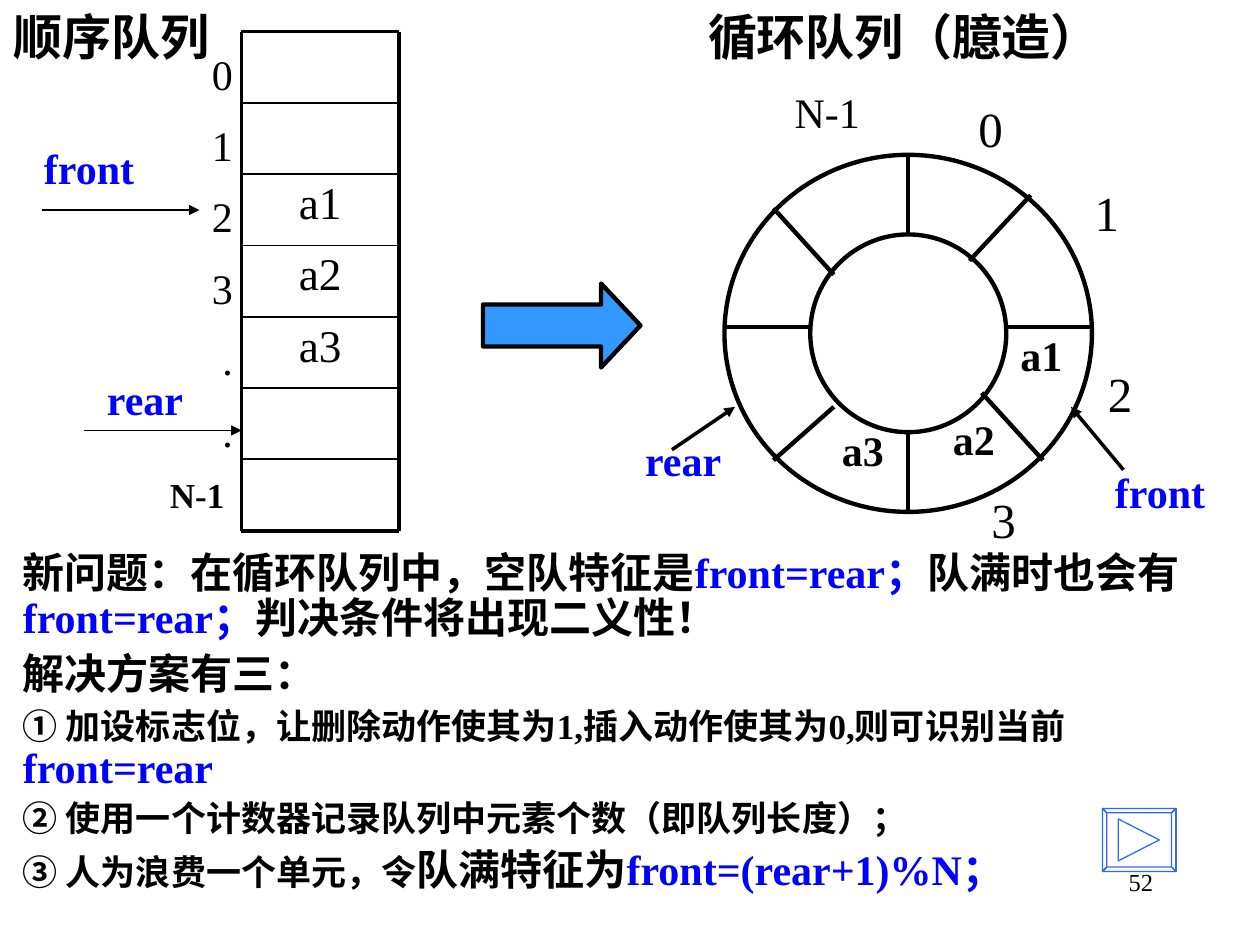
from dataclasses import dataclass
from typing import NamedTuple, Optional

from lxml import etree
from pptx import Presentation
from pptx import util as u
from pptx.dml.color import RGBColor
from pptx.enum import shapes, text
from pptx.oxml.ns import qn


@dataclass(frozen=True)
class Theme:
    latin: str = "Times New Roman"
    asian: str = "Noto Sans CJK SC"
    ink: str = "000000"
    pointer: str = "0000FF"
    arrow: str = "3399FF"
    button: str = "3366FF"
    title: float = 28
    cell: float = 25.9
    label: float = 24
    note: float = 20
    page: float = 14
    thin: float = 1
    hair: float = 0.75
    edge: float = 2.25
    ring: float = 2.5
    aim: float = 2


THEME = Theme()


class Span(NamedTuple):
    words: str
    size: float = THEME.label
    color: str = THEME.ink
    bold: bool = False
    font: str = THEME.latin


class Para(NamedTuple):
    spans: list
    before: float = 0
    spacing: Optional[float] = None
    align: text.PP_ALIGN = text.PP_ALIGN.LEFT
    indent: float = 0


class Label(NamedTuple):
    left: float
    top: float
    width: float
    height: float
    span: Span


class Line(NamedTuple):
    x1: float
    y1: float
    x2: float
    y2: float
    weight: float
    arrow: bool = False


def apply(target, values: dict) -> None:
    for name, value in values.items():
        setattr(target, name, value)


def add_text(page, left: float, top: float, width: float, height: float,
             paras: list, wrap: bool = True) -> None:
    box = page.shapes.add_textbox(u.Pt(left), u.Pt(top), u.Pt(width), u.Pt(height))
    frame = box.text_frame
    frame.word_wrap = wrap
    for index, item in enumerate(paras):
        para = frame.add_paragraph() if index else frame.paragraphs[0]
        apply(para, {"alignment": item.align, "line_spacing": item.spacing,
                     "space_before": u.Pt(item.before) if index else u.Pt(0)})
        if item.indent:
            para._p.get_or_add_pPr().set("marL", str(u.Pt(item.indent)))
        for part in item.spans:
            span = para.add_run()
            span.text = part.words
            apply(span.font, {"name": part.font, "size": u.Pt(part.size), "bold": part.bold})
            span.font.color.rgb = RGBColor.from_string(part.color)
            latin = span._r.rPr.find(qn("a:latin"))
            asian = etree.Element(qn("a:ea"), typeface=THEME.asian)
            latin.addnext(asian)


def add_label(page, label: Label) -> None:
    add_text(page, *label[:4], [Para([label.span])], wrap=False)


def add_line(page, line: Line) -> None:
    connector = page.shapes.add_connector(
        shapes.MSO_CONNECTOR.STRAIGHT, *(u.Pt(value) for value in line[:4]))
    connector.line.width = u.Pt(line.weight)
    connector.line.color.rgb = RGBColor.from_string(THEME.ink)
    if line.arrow:
        etree.SubElement(connector.line._get_or_add_ln(), qn("a:tailEnd"), type="triangle")
    etree.SubElement(connector._element.spPr, qn("a:effectLst"))


def outline(shape, color: str, weight: float, fill: Optional[str] = None) -> None:
    shape.shadow.inherit = False
    shape.line.color.rgb = RGBColor.from_string(color)
    shape.line.width = u.Pt(weight)
    if fill:
        shape.fill.solid()
        shape.fill.fore_color.rgb = RGBColor.from_string(fill)
    else:
        shape.fill.background()


def add_preset(page, kind, left: float, top: float, width: float, height: float,
               fill: Optional[str] = None):
    shape = page.shapes.add_shape(kind, u.Pt(left), u.Pt(top), u.Pt(width), u.Pt(height))
    outline(shape, THEME.ink, THEME.ring, fill)
    return shape


def pointer(words: str) -> Span:
    return Span(words, color=THEME.pointer, bold=True)


def draw_column(page) -> None:
    left, right, top, step, rows = 138, 228, 18, 40.75, 7
    bottom = top + rows * step
    for row in range(rows + 1):
        y = top + row * step
        add_line(page, Line(left, y, right, y, THEME.edge if row in (0, rows) else THEME.thin))
    for x in (left, right):
        add_line(page, Line(x, top, x, bottom, THEME.edge))
    for row, words in enumerate(("a1", "a2", "a3"), start=2):
        add_text(page, left, top + row * step, right - left, step,
                 [Para([Span(words, THEME.cell)], spacing=0.9, align=text.PP_ALIGN.CENTER)])
    indexes = [Para([Span(digit)], before=12, indent=24) for digit in "0123"]
    indexes += [Para([Span(".")], before=12, indent=30) for _ in range(2)]
    indexes.append(Para([Span("N-1", THEME.note, bold=True)], before=10))
    add_text(page, 90, 24, 54, 274, indexes)
    add_line(page, Line(24, 120, 114, 120, THEME.hair, True))
    add_line(page, Line(48, 246, left, 246, THEME.hair, True))
    add_label(page, Label(18, 78, 68, 36, pointer("front")))
    add_label(page, Label(54, 210, 60, 36, pointer("rear")))


def draw_ring(page) -> None:
    center_x, center_y = 519, 190.5
    for width, height in ((112, 113), (210, 204)):
        add_preset(page, shapes.MSO_SHAPE.OVAL, center_x - width / 2, center_y - height / 2,
                   width, height)
    spokes = [(575, 187, 624, 187), (414, 187, 463, 187),
              (519, 88.5, 519, 134), (519, 247.5, 519, 293),
              (442, 119, 476.5, 157), (561, 224.5, 596, 263),
              (589, 111.5, 554, 149), (476.5, 232.5, 442, 263)]
    for spoke in spokes:
        add_line(page, Line(*spoke, THEME.ring))
    add_line(page, Line(384, 257, 420, 232.5, THEME.aim, True))
    add_line(page, Line(642, 268.5, 612, 232.5, THEME.aim, True))
    for left, top, words in ((474, 239, "a3"), (537.5, 232.5, "a2"), (576, 185, "a1")):
        add_label(page, Label(left, top, 44, 36, Span(words, bold=True)))
    for left, top, words in ((552, 52.5, "0"), (618.5, 101, "1"),
                             (626, 204, "2"), (559.5, 276, "3")):
        add_label(page, Label(left, top, 30, 41, Span(words, THEME.title)))
    add_label(page, Label(447, 46, 54, 36, Span("N-1")))
    add_label(page, Label(361.5, 245, 60, 36, pointer("rear")))
    add_label(page, Label(630, 263, 68, 36, pointer("front")))


def draw_notes(page) -> None:
    def strong(words: str, size: float = THEME.label, font: str = THEME.latin) -> Span:
        return Span(words, size, bold=True, font=font)

    def han(words: str) -> Span:
        return strong(words, font=THEME.asian)

    notes = [
        (6, [strong("新问题："), han("在循环队列中，空队特征是"), pointer("front=rear；"),
             han("队满时也会有"), pointer("front=rear；"), han("判决条件将出现二义性！")]),
        (6, [strong("解决方案有三：")]),
        (6, [strong("① 加设标志位，让删除动作使其为1,插入动作使其为0,则可识别当前 ", THEME.note),
             pointer("front=rear")]),
        (5, [strong("② 使用一个计数器记录队列中元素个数（即队列长度）；", THEME.note)]),
        (6, [strong("③ 人为浪费一个单元，令", THEME.note), han("队满特征为"),
             pointer("front=(rear+1)%N；")]),
    ]
    add_text(page, 6, 312, 714, 206,
             [Para(spans, before, spacing=0.9) for before, spans in notes])


def draw_button(page) -> None:
    left, top, right, bottom, bevel = 630, 462, 672, 498, 2.5
    outer = [(left, top), (right, top), (right, bottom), (left, bottom)]
    inner = [(left + bevel, top + bevel), (right - bevel, top + bevel),
             (right - bevel, bottom - bevel), (left + bevel, bottom - bevel)]
    contours = [outer]
    for side in range(4):
        after = (side + 1) % 4
        contours.append([outer[side], outer[after], inner[after], inner[side]])
    contours.append([(639, 468), (662.5, 480), (639, 492)])
    scaled = [[(u.Pt(x), u.Pt(y)) for x, y in contour] for contour in contours]
    builder = page.shapes.build_freeform(*scaled[0][0])
    for index, contour in enumerate(scaled):
        if index:
            builder.move_to(*contour[0])
        builder.add_line_segments(contour[1:], close=True)
    outline(builder.convert_to_shape(), THEME.button, THEME.hair)


def main() -> None:
    deck = Presentation()
    apply(deck, {"slide_width": u.Pt(720), "slide_height": u.Pt(540)})
    page = deck.slides.add_slide(deck.slide_layouts[6])
    add_text(page, 516, 492, 150, 36,
             [Para([Span("52", THEME.page)], align=text.PP_ALIGN.RIGHT)])
    arrow = add_preset(page, shapes.MSO_SHAPE.RIGHT_ARROW, 276, 162, 90, 48, THEME.arrow)
    arrow.adjustments[1] = 0.47
    draw_ring(page)
    add_label(page, Label(397.5, 0, 240, 41, Span("循环队列（臆造）", THEME.title, bold=True)))
    add_label(page, Label(0.5, 0, 128, 41, Span("顺序队列", THEME.title, bold=True)))
    draw_column(page)
    draw_notes(page)
    draw_button(page)
    deck.save("out.pptx")


if __name__ == "__main__":
    main()
